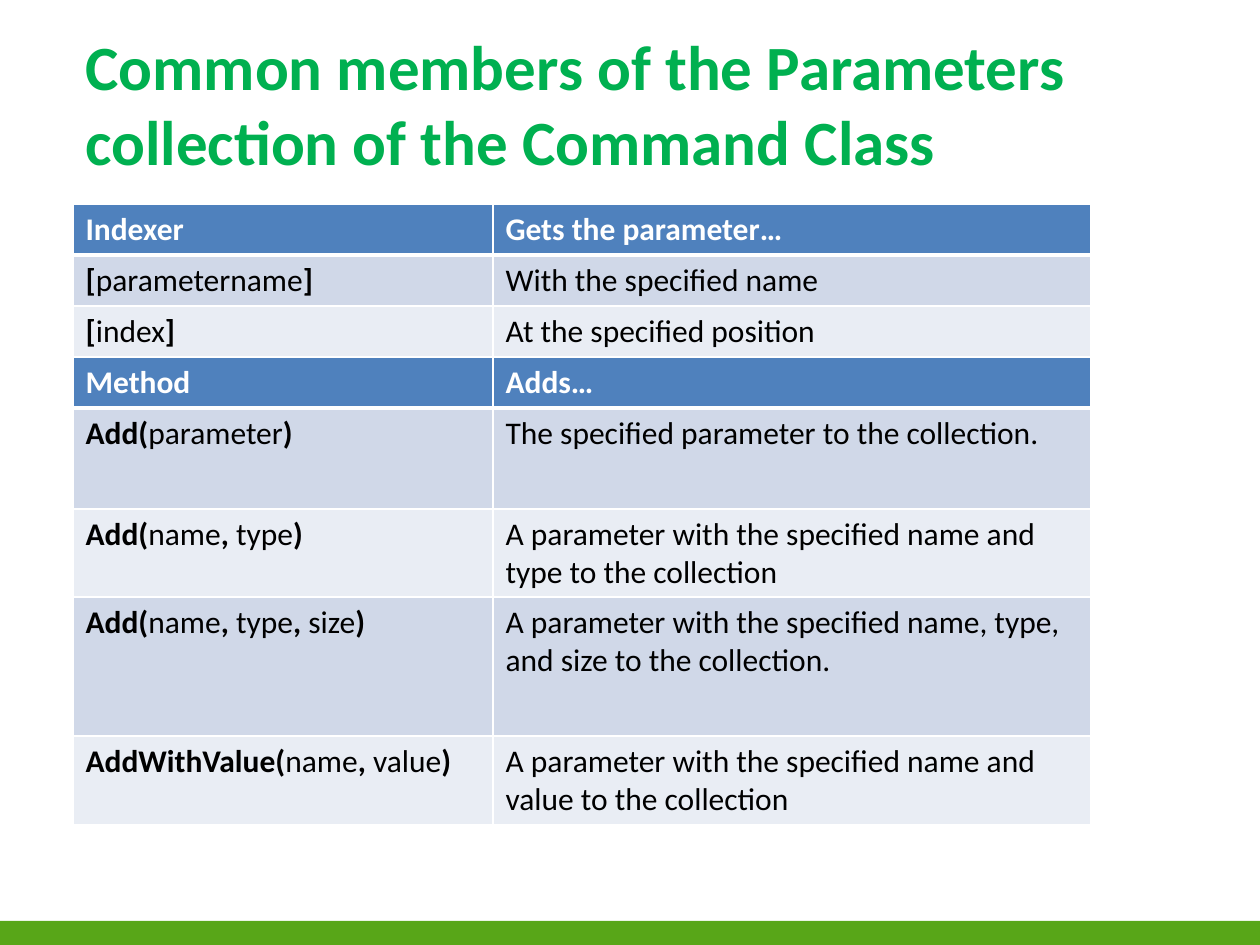
from lxml.etree import SubElement
from pptx import Presentation
from pptx.dml.color import RGBColor
from pptx.enum.shapes import MSO_SHAPE as Shape
from pptx.oxml.ns import qn
from pptx.util import Pt

PX = 914400 // 126
WHITE = RGBColor(0xFF, 0xFF, 0xFF)
BLACK = RGBColor(0, 0, 0)
TITLE_GREEN = RGBColor(0x00, 0xB0, 0x50)
BAR_GREEN = RGBColor(0x58, 0xA6, 0x18)
HEADER_BLUE = RGBColor(0x4F, 0x81, 0xBD)
BANDS = [RGBColor(0xD0, 0xD8, 0xE8), RGBColor(0xE9, 0xED, 0xF4)]

TITLE = "Common members of the Parameters collection of the Command Class"

# Signatures alternate bold and regular pieces, starting with bold
INDEXERS = {
    "top": 204,
    "header": ("Indexer", "Gets the parameter…"),
    "rows": [
        (["[", "parametername", "]"], "With the specified name"),
        (["[", "index", "]"], "At the specified position"),
    ],
    "heights": [51, 51, 51],
}
METHODS = {
    "top": 357,
    "header": ("Method", "Adds…"),
    "rows": [
        (["Add(", "parameter", ")"],
         "The specified parameter to the collection."),
        (["Add(", "name", ", ", "type", ")"],
         "A parameter with the specified name and type to the collection"),
        (["Add(", "name", ", ", "type", ", ", "size", ")"],
         "A parameter with the specified name, type, and size to the collection."),
        (["AddWithValue(", "name", ", ", "value", ")"],
         "A parameter with the specified name and value to the collection"),
    ],
    "heights": [51, 101, 88, 139, 87],
}
LEFT = 73
COLUMNS = [420, 598]


def write(frame, pieces, size=18, color=BLACK, bold=True, after=0):
    """Write pieces as one paragraph, switching bold from piece to piece."""
    frame.word_wrap = True
    paragraph = frame.paragraphs[0]
    paragraph.space_after = Pt(after)
    for i, piece in enumerate(pieces):
        run = paragraph.add_run()
        run.text = piece
        run.font.name = "Calibri"
        run.font.size = Pt(size)
        run.font.bold = bold if i % 2 == 0 else not bold
        run.font.color.rgb = color


def style_cell(cell, fill, top=1, bottom=1):
    """Draw white borders (widths in points), then fill the cell."""
    props = cell._tc.get_or_add_tcPr()
    for side, width in (("L", 1), ("R", 1), ("T", top), ("B", bottom)):
        line = SubElement(props, qn(f"a:ln{side}"), w=str(Pt(width)))
        solid = SubElement(line, qn("a:solidFill"))
        SubElement(solid, qn("a:srgbClr"), val=str(WHITE))
    cell.fill.solid()
    cell.fill.fore_color.rgb = fill


def add_member_table(slide, members):
    heights = members["heights"]
    table = slide.shapes.add_table(
        len(heights), len(COLUMNS), LEFT * PX, members["top"] * PX,
        sum(COLUMNS) * PX, sum(heights) * PX).table
    for column, width in zip(table.columns, COLUMNS):
        column.width = width * PX
    for row, height in zip(table.rows, heights):
        row.height = height * PX

    for c, heading in enumerate(members["header"]):
        cell = table.cell(0, c)
        style_cell(cell, HEADER_BLUE, bottom=3)
        write(cell.text_frame, [heading], color=WHITE)

    for r, (signature, description) in enumerate(members["rows"], 1):
        for cell in table.rows[r].cells:
            style_cell(cell, BANDS[(r - 1) % 2], top=3 if r == 1 else 1)
        write(table.cell(r, 0).text_frame, signature)
        write(table.cell(r, 1).text_frame, [description], bold=False)


prs = Presentation()
prs.slide_width, prs.slide_height = 1260 * PX, 945 * PX
slide = prs.slides.add_slide(prs.slide_layouts[6])

# Bottom bar
bar = slide.shapes.add_shape(Shape.RECTANGLE, 0, 921 * PX, 1260 * PX, 24 * PX)
bar.shadow.inherit = False
bar.fill.solid()
bar.fill.fore_color.rgb = BAR_GREEN
bar.line.fill.background()

# Title
title = slide.shapes.add_textbox(LEFT * PX, 21 * PX, 1207 * PX, 165 * PX)
write(title.text_frame, [TITLE], size=36, color=TITLE_GREEN, after=6)

# Member tables
for members in (INDEXERS, METHODS):
    add_member_table(slide, members)

prs.save("out.pptx")
